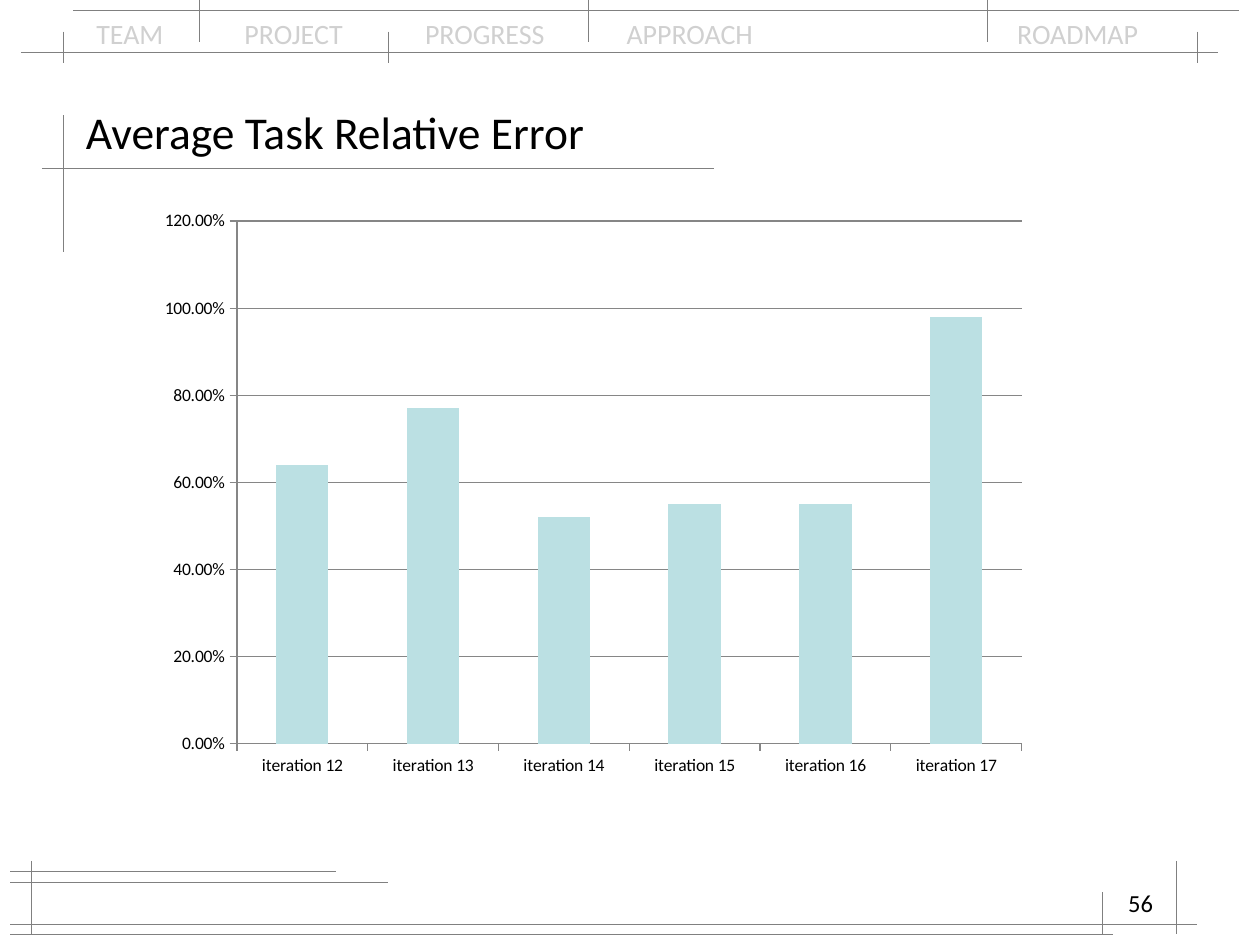
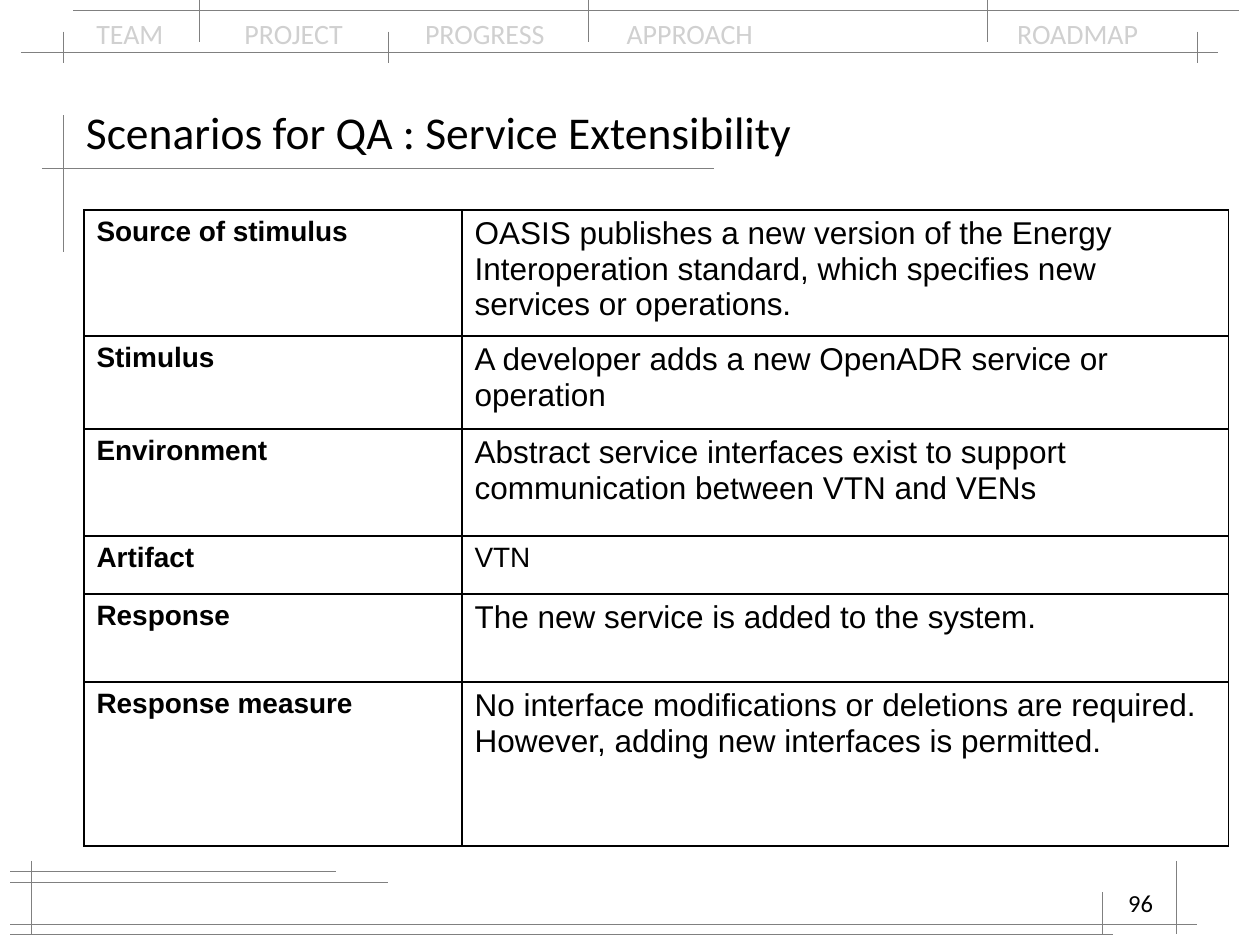
from lxml.etree import SubElement
from pptx import Presentation
from pptx.chart.data import CategoryChartData
from pptx.dml.color import RGBColor
from pptx.enum.chart import XL_CHART_TYPE, XL_TICK_MARK
from pptx.enum.shapes import MSO_CONNECTOR
from pptx.enum.text import MSO_ANCHOR, PP_ALIGN
from pptx.oxml.ns import qn
from pptx.util import Emu, Inches, Pt

HUES = {"ink": "000000", "tab": "D0D0D0", "rule": "808080", "grid": "868686",
        "bar": "BBE0E3", "page": "FFFFFF"}
FACE = "Calibri"
COLS, ROWS = 120, 90
WIDE, HIGH = Inches(10), Inches(7.5)

NAV = (0, 0, COLS, 6)
HEAD = (4, 9, 109, 15)
FOOT = (1, 82, 113, 7)

TABS = [("TEAM", 0), ("PROJECT", 14.1), ("PROGRESS", 31.3),
        ("APPROACH", 50.5), ("ROADMAP", 87.7)]
BARS = [("iteration 12", 0.64), ("iteration 13", 0.77), ("iteration 14", 0.52),
        ("iteration 15", 0.55), ("iteration 16", 0.55), ("iteration 17", 0.98)]
FACTS = [
    ("Source of stimulus", "OASIS publishes a new version of the Energy Interoperation "
     "standard, which specifies new services or operations.", 18, 12),
    ("Stimulus", "A developer adds a new OpenADR service or operation", 18, 8.86),
    ("Environment", "Abstract service interfaces exist to support communication "
     "between VTN and VENs", 18, 10.2),
    ("Artifact", "VTN", 16, 5.5),
    ("Response", "The new service is added to the system.", 18, 8.4),
    ("Response measure", "No interface modifications or deletions are required. "
     "However, adding new interfaces is permitted.", 18, 15.6),
]


def hue(name):
    return RGBColor.from_string(HUES[name])


def across(n):
    return Emu(round(WIDE * n / COLS))


def down(n):
    return Emu(round(HIGH * n / ROWS))


def place(box):
    x, y, w, h = box
    return across(x), down(y), across(w), down(h)


def write(para, text, size, face=FACE, tone="ink", bold=False):
    run = para.add_run()
    run.text = text
    font = run.font
    font.name, font.size, font.bold = face, Pt(size), bold
    font.color.rgb = hue(tone)


def label(slide, box):
    frame = slide.shapes.add_textbox(*place(box)).text_frame
    frame.word_wrap = True
    return frame


def rules(slide, box, flat=(), tall=()):
    left, top = box[:2]
    ends = [(x, y, x + n, y) for x, y, n in flat]
    ends += [(x, y, x, y + n) for x, y, n in tall]
    for x1, y1, x2, y2 in ends:
        rule = slide.shapes.add_connector(
            MSO_CONNECTOR.STRAIGHT, across(left + x1), down(top + y1),
            across(left + x2), down(top + y2))
        rule.line.color.rgb = hue("rule")
        rule.line.width = Pt(0.3)
        SubElement(rule.element.spPr, qn("a:effectLst"))


def nav(slide, box):
    x, y, w, h = box
    para = label(slide, (x + 8, y + 1, w - 16, h - 1.6)).paragraphs[0]
    stops = SubElement(para._p.get_or_add_pPr(), qn("a:tabLst"))
    for name, stop in TABS:
        if stop:
            SubElement(stops, qn("a:tab"), pos=str(across(stop)), algn="l")
            name = "\t" + name
        write(para, name, 16, tone="tab")
    rules(slide, box, flat=[(2, 5, 114), (7, 1, 111)],
          tall=[(n, 3, 3) for n in (6, 37, 114)] + [(n, 0, 4) for n in (19, 56, 94)])


def head(slide, box, text):
    x, y, w, h = box
    rules(slide, box, flat=[(0, 7, 64)], tall=[(2, 2, 13)])
    frame = label(slide, (x + 3, y, w - 3, 7))
    frame.vertical_anchor = MSO_ANCHOR.MIDDLE
    write(frame.paragraphs[0], text, 26)


def foot(slide, box, page):
    x, y, w, h = box
    rules(slide, box, flat=[(0, 1, 31), (0, 2, 36), (0, 6, 113), (0, 7, 105)],
          tall=[(2, 0, 7), (111, 0, 7), (104, 3, 4)])
    para = label(slide, (x + 85, y + 2, 25, 6)).paragraphs[0]
    para.alignment = PP_ALIGN.RIGHT
    write(para, str(page), 14)


def base(deck, text, page):
    slide = deck.slides.add_slide(deck.slide_layouts[6])
    slide.background.fill.solid()
    slide.background.fill.fore_color.rgb = hue("page")
    nav(slide, NAV)
    head(slide, HEAD, text)
    foot(slide, FOOT, page)
    return slide


def plot(slide, box):
    data = CategoryChartData(number_format="0.00%")
    data.categories = [name for name, _ in BARS]
    data.add_series("Series 1", [value for _, value in BARS])
    chart = slide.shapes.add_chart(
        XL_CHART_TYPE.COLUMN_CLUSTERED, *place(box), data).chart
    chart.has_legend = chart.has_title = False
    chart.font.name, chart.font.size = FACE, Pt(10)
    chart.font.color.rgb = hue("ink")
    bars = chart.plots[0]
    bars.gap_width, bars.vary_by_categories = 150, False
    fill = bars.series[0].format.fill
    fill.solid()
    fill.fore_color.rgb = hue("bar")
    scale = chart.value_axis
    scale.minimum_scale, scale.maximum_scale, scale.major_unit = 0, 1.2, 0.2
    scale.has_major_gridlines = True
    scale.tick_labels.number_format = "0.00%"
    scale.tick_labels.number_format_is_linked = False
    for axis in (scale, chart.category_axis):
        axis.major_tick_mark = XL_TICK_MARK.OUTSIDE
    for part in (scale, chart.category_axis, scale.major_gridlines):
        part.format.line.color.rgb = hue("grid")
        part.format.line.width = Pt(0.75)


def edge(cell):
    props = cell._tc.get_or_add_tcPr()
    for side in ("lnL", "lnR", "lnT", "lnB"):
        line = SubElement(props, qn("a:" + side), w=str(Pt(1)))
        fill = SubElement(line, qn("a:solidFill"))
        SubElement(fill, qn("a:srgbClr"), val=HUES["ink"])
    cell.fill.background()


def facts(slide, box):
    grid = slide.shapes.add_table(len(FACTS), 2, *place(box)).table
    grid.first_row = grid.horz_banding = False
    grid.columns[0].width = across(36)
    grid.columns[1].width = across(box[2] - 36)
    for row, (name, text, size, tall) in zip(grid.rows, FACTS):
        row.height = down(tall)
        key, note = row.cells
        write(key.text_frame.paragraphs[0], name, 16, "Arial", bold=True)
        write(note.text_frame.paragraphs[0], text, size, "Arial")
        edge(key)
        edge(note)


def main():
    deck = Presentation()
    deck.slide_width, deck.slide_height = WIDE, HIGH
    plot(base(deck, "Average Task Relative Error", 56), (14, 19, 85, 56))
    high = sum(fact[3] for fact in FACTS)
    facts(base(deck, "Scenarios for QA : Service Extensibility", 96), (8, 20, 109, high))
    deck.save("out.pptx")


if __name__ == "__main__":
    main()
